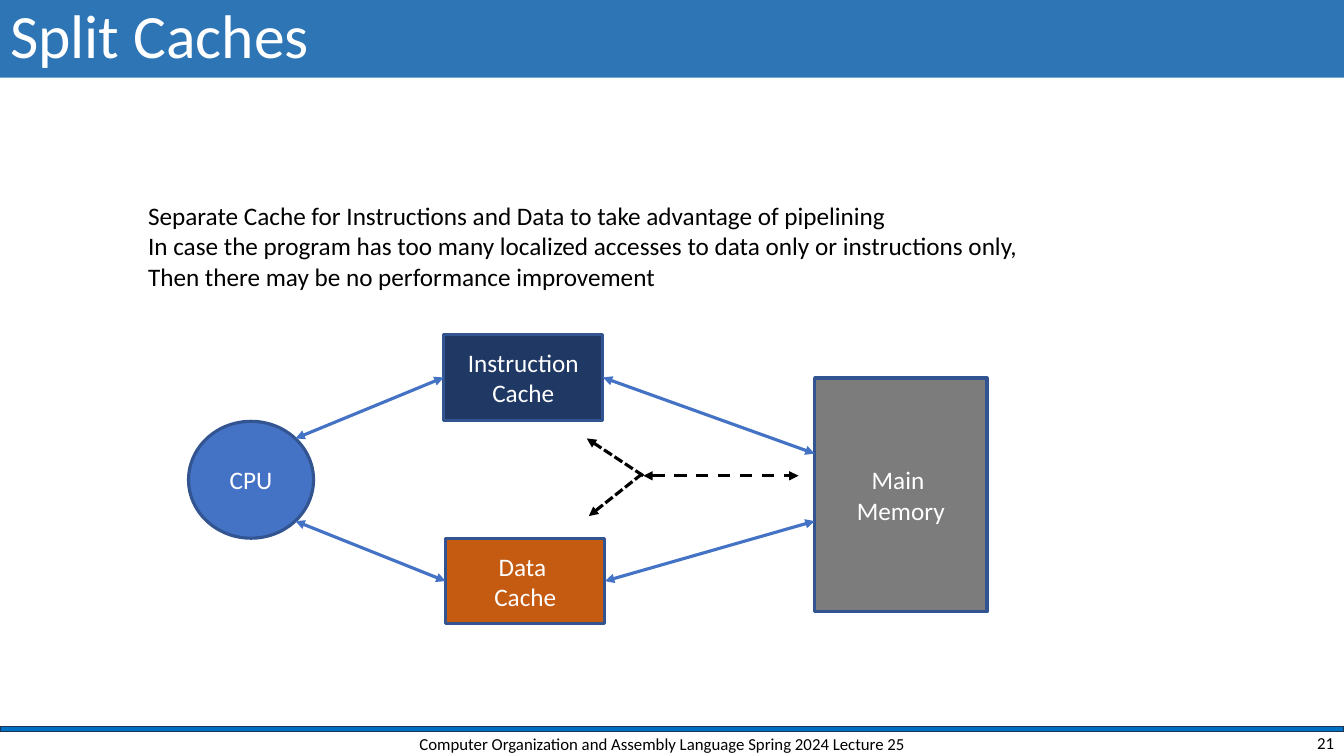
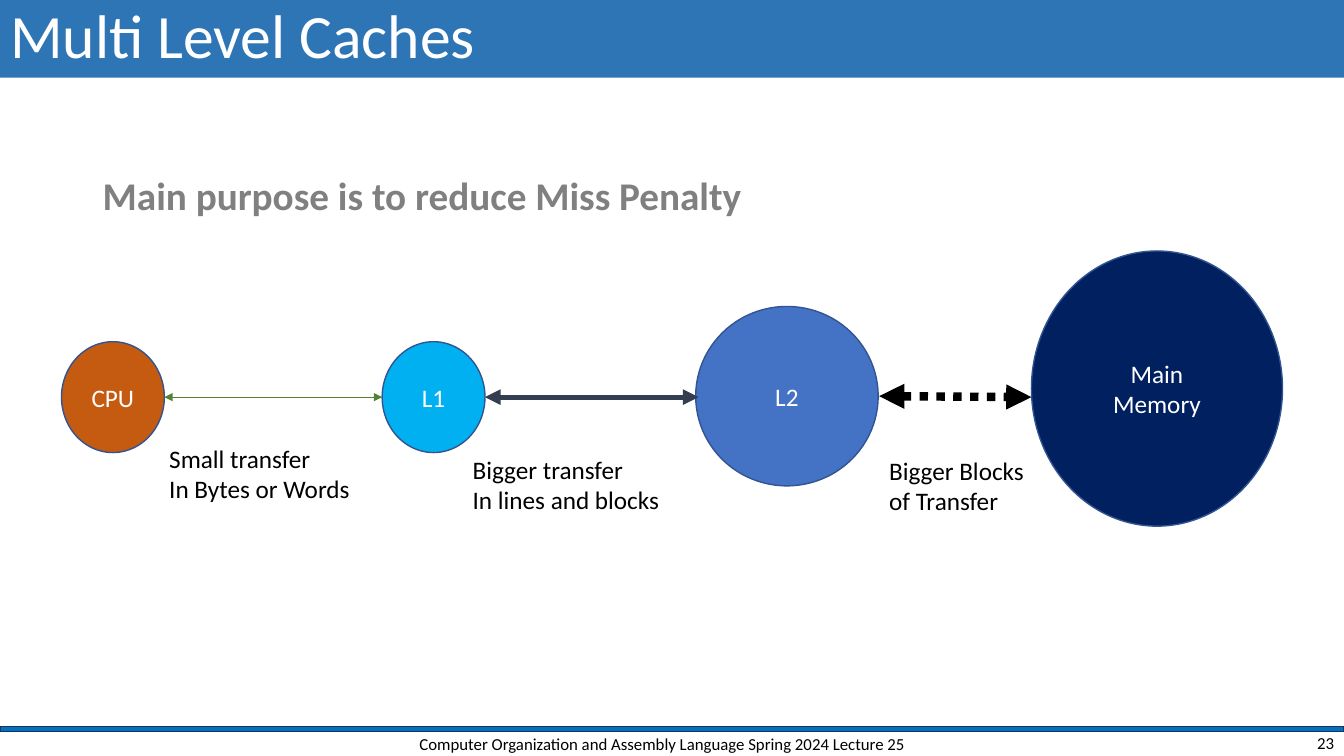
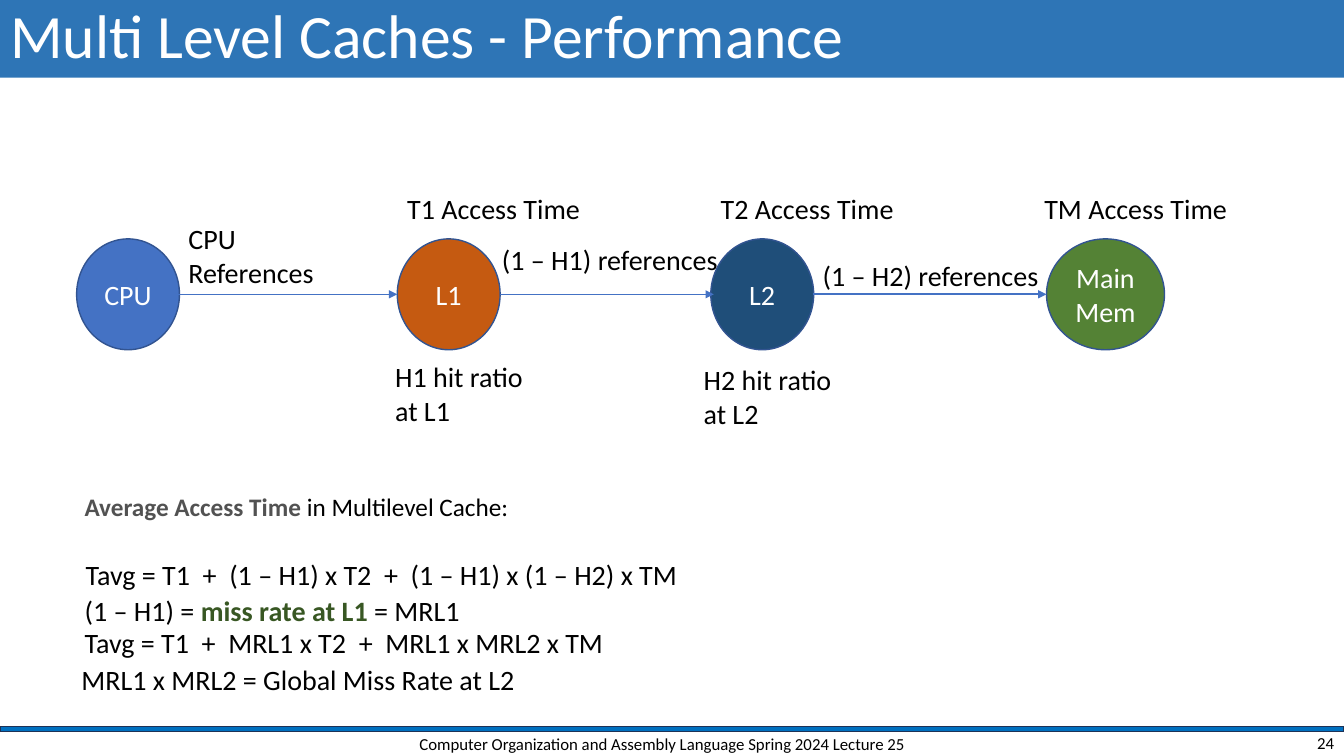
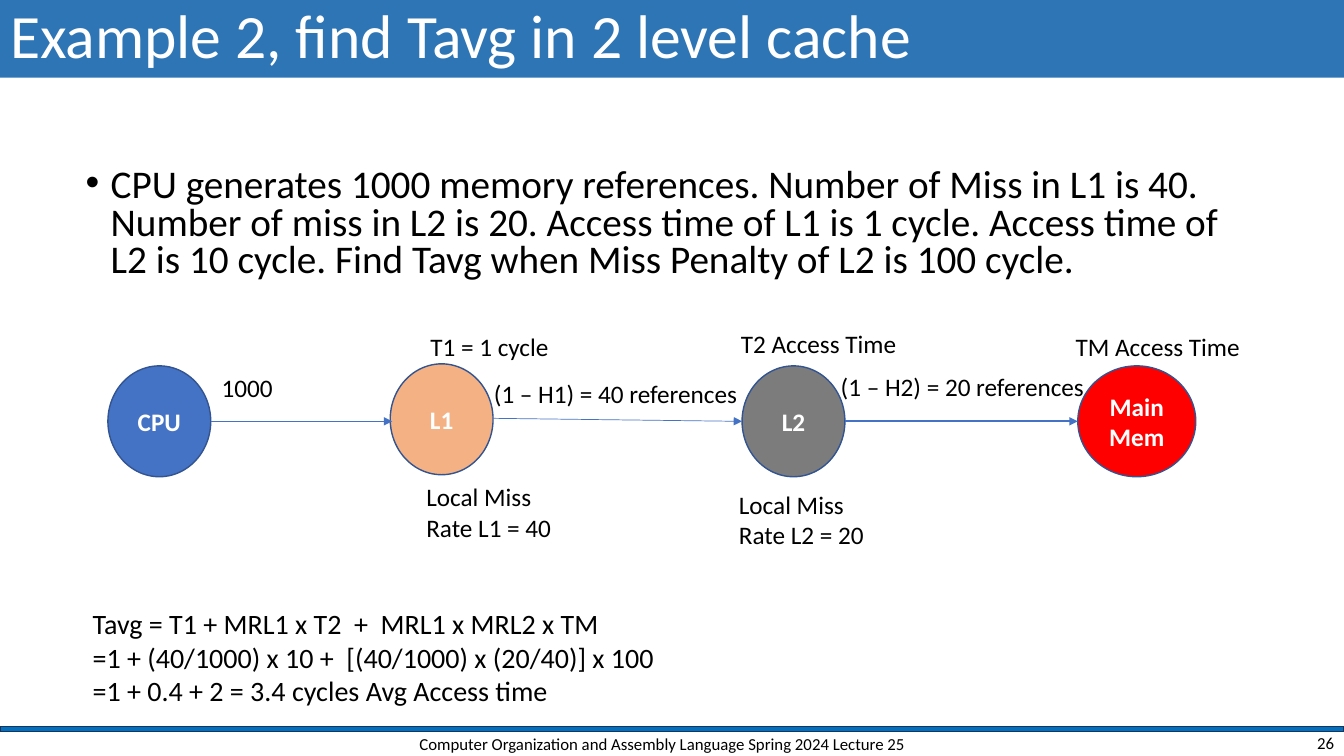
"""Build four lecture slides on split and multi level caches."""
import dataclasses

import lxml.etree
import pptx
import pptx.dml.color
import pptx.enum.dml
import pptx.enum.shapes
import pptx.enum.text
import pptx.oxml.ns
import pptx.util

Inches = pptx.util.Inches
Pt = pptx.util.Pt
SHAPE = pptx.enum.shapes.MSO_SHAPE
DASH = pptx.enum.dml.MSO_LINE
ALIGN = pptx.enum.text.PP_ALIGN
ANCHOR = pptx.enum.text.MSO_ANCHOR
FIT = pptx.enum.text.MSO_AUTO_SIZE


@dataclasses.dataclass(frozen=True)
class Theme:
    """Hold the colours, type sizes and line widths of the deck."""
    font: str = "Calibri"
    band: str = "2E75B6"
    rule: str = "0070C0"
    edge: str = "1E3256"
    rim: str = "325491"
    blue: str = "4472C4"
    orange: str = "C55A11"
    peach: str = "F4B183"
    green: str = "548235"
    leaf: str = "385723"
    sky: str = "00B0F0"
    navy: str = "203864"
    deep: str = "002060"
    steel: str = "1F4E79"
    slate: str = "333F50"
    grey: str = "7C7C7C"
    soft: str = "808080"
    dark: str = "525252"
    red: str = "FF0000"
    black: str = "000000"
    white: str = "FFFFFF"
    title: int = 44
    lead: int = 28
    large: int = 20
    body: int = 18
    small: int = 12
    hair: float = 0.5
    thin: float = 1
    mid: float = 1.5
    bold: float = 2.25
    wide: float = 3.75
    broad: float = 6


T = Theme()
WIDTH, HEIGHT = 13.33, 7.5
ROUND = (1.02, 1.1)
OVAL = (1.17, 1.1)
FOOTER = "Computer Organization and Assembly Language Spring 2024 Lecture 25"


def rgb(code):
    """Turn a hex code into a colour."""
    return pptx.dml.color.RGBColor.from_string(code)


def place(shape, at):
    """Move and size a shape in inches."""
    shape.left, shape.top, shape.width, shape.height = map(Inches, at)


def write(frame, lines, size, color, bold=False, align=ALIGN.LEFT):
    """Fill a text frame; a line is a string or a list of (text, colour, bold) runs."""
    for index, line in enumerate(lines):
        para = frame.paragraphs[0] if index == 0 else frame.add_paragraph()
        para.alignment = align
        runs = [(line, color, bold)] if isinstance(line, str) else line
        for text, tint, heavy in runs:
            run = para.add_run()
            run.text = text
            run.font.name = T.font
            run.font.size = Pt(size)
            run.font.bold = heavy
            run.font.color.rgb = rgb(tint)


def label(slide, at, lines, size=T.body, color=T.black, bold=False, wrap=False):
    """Add a text box that grows with its text."""
    box = slide.shapes.add_textbox(*map(Inches, at))
    frame = box.text_frame
    frame.word_wrap = wrap
    frame.auto_size = FIT.SHAPE_TO_FIT_TEXT
    write(frame, lines, size, color, bold)


def small(slide, at, text, align):
    """Add a line of footer text."""
    frame = slide.shapes.add_textbox(*map(Inches, at)).text_frame
    frame.word_wrap = True
    frame.vertical_anchor = ANCHOR.MIDDLE
    write(frame, [text], T.small, T.black, align=align)


def bullet(slide, at, text):
    """Add one bullet point in large type."""
    frame = slide.shapes.add_textbox(*map(Inches, at)).text_frame
    frame.word_wrap = True
    para = frame.paragraphs[0]
    props = para._p.get_or_add_pPr()
    props.set("marL", str(Inches(0.25)))
    props.set("indent", str(-Inches(0.25)))
    for tag, key, value in (("a:buFont", "typeface", "Arial"), ("a:buChar", "char", "•")):
        lxml.etree.SubElement(props, pptx.oxml.ns.qn(tag)).set(key, value)
    para.line_spacing = 0.8
    write(frame, [text], T.lead, T.black)


def block(slide, kind, at, fill, line=T.rim, width=T.thin):
    """Add a filled and outlined shape."""
    shape = slide.shapes.add_shape(kind, *map(Inches, at))
    shape.shadow.inherit = False
    shape.fill.solid()
    shape.fill.fore_color.rgb = rgb(fill)
    shape.line.color.rgb = rgb(line)
    shape.line.width = Pt(width)
    return shape


def node(slide, at, lines, fill, kind=SHAPE.OVAL, width=T.thin, size=T.body, bold=False):
    """Add a shape with white centred text."""
    shape = block(slide, kind, at, fill, width=width)
    shape.text_frame.word_wrap = True
    shape.text_frame.vertical_anchor = ANCHOR.MIDDLE
    write(shape.text_frame, lines, size, T.white, bold, ALIGN.CENTER)
    return shape


def link(slide, start, end, color=T.blue, width=T.bold, dash=None, both=True):
    """Add an arrow with a head at one end or at both."""
    line = slide.shapes.add_connector(
        pptx.enum.shapes.MSO_CONNECTOR.STRAIGHT, *map(Inches, start + end))
    line.line.color.rgb = rgb(color)
    line.line.width = Pt(width)
    if dash is not None:
        line.line.dash_style = dash
    stroke = line.line._get_or_add_ln()
    for tag in ("a:headEnd", "a:tailEnd") if both else ("a:tailEnd",):
        lxml.etree.SubElement(stroke, pptx.oxml.ns.qn(tag)).set("type", "triangle")
    lxml.etree.SubElement(line._element.spPr, pptx.oxml.ns.qn("a:effectLst"))
    return line


def start(deck, title, number):
    """Add a slide with its title band, rule and footer."""
    slide = deck.slides.add_slide(deck.slide_layouts[5])
    block(slide, SHAPE.RECTANGLE, (0, 7.21, WIDTH, 0.05), T.rule, T.edge)
    head = slide.shapes.title
    place(head, (0, 0, WIDTH, 0.77))
    head.fill.solid()
    head.fill.fore_color.rgb = rgb(T.band)
    frame = head.text_frame
    frame.auto_size = FIT.NONE
    frame.vertical_anchor = ANCHOR.MIDDLE
    frame.paragraphs[0].line_spacing = 0.9
    write(frame, [title], T.title, T.white)
    small(slide, (3.92, 7.24, 5.3, 0.28), FOOTER, ALIGN.CENTER)
    small(slide, (10.33, 7.24, 3, 0.25), str(number), ALIGN.RIGHT)
    return slide


def chain(slide, nodes, links, size, bold=False):
    """Draw a row of ovals and the one-way arrows between them."""
    for at, lines, fill in nodes:
        node(slide, at, lines, fill, size=size, bold=bold)
    for begin, end, width in links:
        link(slide, begin, end, width=width, both=False)


def split(deck):
    """Draw the split caches slide."""
    slide = start(deck, "Split Caches", 21)
    node(slide, (1.87, 4.18, 1.24, 1.16), ["CPU"], T.blue, width=T.bold)
    code, data, _ = [
        node(slide, at, lines, fill, SHAPE.RECTANGLE, T.bold) for at, lines, fill in (
            ((4.4, 3.32, 1.58, 0.85), ["Instruction Cache"], T.navy),
            ((4.42, 5.34, 1.58, 0.85), ["Data ", "Cache"], T.orange),
            ((8.08, 3.75, 1.71, 2.32), ["Main ", "Memory"], T.grey))]
    for cache, level, near, far in ((code, 3.75, 4.35, 4.5), (data, 5.77, 5.17, 5.17)):
        link(slide, (2.93, near), (4.4, level)).end_connect(cache, 1)
        link(slide, (6, level), (8.08, far)).begin_connect(cache, 3)
    link(slide, (6.38, 4.72), (7.92, 4.72), T.black, dash=DASH.DASH)
    for begin, end in (((6.38, 4.72), (5.82, 4.35)), ((6.37, 4.7), (5.84, 5.12))):
        link(slide, begin, end, T.black, dash=DASH.SQUARE_DOT, both=False)
    label(slide, (1.37, 1.94, 8.93, 1.01), [
        "Separate Cache for Instructions and Data to take advantage of pipelining",
        "In case the program has too many localized accesses to data only or instructions only,",
        "Then there may be no performance improvement"])


def levels(deck):
    """Draw the multi level caches slide."""
    slide = start(deck, "Multi Level Caches", 23)
    label(slide, (0.92, 1.65, 6.61, 0.57), ["Main purpose is to reduce Miss Penalty"],
          T.lead, T.soft, True)
    for at, lines, fill in (
            ((0.61, 3.39, *ROUND), ["CPU"], T.orange),
            ((3.79, 3.39, *ROUND), ["L1"], T.sky),
            ((6.9, 3.04, 1.81, 1.78), ["L2"], T.blue),
            ((10.23, 2.49, 2.49, 2.73), ["Main", "Memory"], T.deep)):
        node(slide, at, lines, fill)
    link(slide, (1.63, 3.94), (3.79, 3.94), T.green, T.hair)
    link(slide, (4.81, 3.94), (6.93, 3.94), T.slate, T.wide)
    link(slide, (8.72, 3.93), (10.23, 3.94), T.black, T.broad, DASH.ROUND_DOT)
    for at, lines in (
            ((1.58, 4.35, 2.01, 0.71), ["Small transfer", "In Bytes or Words"]),
            ((4.59, 4.46, 2.07, 0.71), ["Bigger transfer", "In lines and blocks"]),
            ((8.72, 4.47, 1.55, 0.71), ["Bigger Blocks", "of Transfer"])):
        label(slide, at, lines)


def timing(deck):
    """Draw the cache performance slide."""
    slide = start(deck, "Multi Level Caches - Performance", 24)
    chain(slide, (
        ((0.76, 2.37, *ROUND), ["CPU"], T.blue),
        ((3.94, 2.37, *ROUND), ["L1"], T.orange),
        ((7.05, 2.37, *ROUND), ["L2"], T.steel),
        ((10.38, 2.37, *OVAL), ["Main", "Mem"], T.green),
    ), (
        ((1.77, 2.92), (3.94, 2.92), T.hair),
        ((4.96, 2.92), (7.08, 2.92), T.hair),
        ((8.06, 2.92), (10.38, 2.92), T.mid),
    ), T.large)
    for at, lines in (
            ((1.77, 2.15, 1.48, 0.77), ["CPU", "References"]),
            ((3.94, 1.85, 1.96, 0.44), ["T1 Access Time"]),
            ((7.05, 1.85, 1.96, 0.44), ["T2 Access Time"]),
            ((10.26, 1.85, 2.06, 0.44), ["TM Access Time"]),
            ((3.82, 3.52, 1.51, 0.77), ["H1 hit ratio", "at L1"]),
            ((6.88, 3.55, 1.51, 0.77), ["H2 hit ratio", "at L2"]),
            ((4.88, 2.36, 2.39, 0.44), ["(1 – H1) references"]),
            ((8.06, 2.52, 2.39, 0.44), ["(1 – H2) references"]),
            ((0.75, 5.48, 6.12, 0.44),
             ["Tavg = T1  +  (1 – H1) x T2  +  (1 – H1) x (1 – H2) x TM"]),
            ((0.74, 5.84, 3.95, 0.44), [[("(1 – H1) = ", T.black, False),
                                         ("miss rate at L1 ", T.leaf, True),
                                         ("= MRL1", T.black, False)]]),
            ((0.74, 6.16, 5.39, 0.44), ["Tavg = T1  +  MRL1 x T2  +  MRL1 x MRL2 x TM"]),
            ((0.71, 6.52, 4.54, 0.44), ["MRL1 x MRL2 = Global Miss Rate at L2"])):
        label(slide, at, lines, T.large)
    label(slide, (0.74, 4.83, 4.42, 0.4), [[("Average Access Time ", T.dark, True),
                                            ("in Multilevel Cache:", T.black, False)]])


def sample(deck):
    """Draw the worked example slide."""
    slide = start(deck, "Example 2, find Tavg in 2 level cache", 26)
    bullet(slide, (0.75, 1.62, 11.5, 1.33),
           "CPU generates 1000 memory references. Number of Miss in L1 is 40. "
           "Number of miss in L2 is 20. Access time of L1 is 1 cycle. "
           "Access time of L2 is 10 cycle. Find Tavg when Miss Penalty of L2 is 100 cycle.")
    label(slide, (0.82, 5.97, 6.67, 1.11), [
        "Tavg = T1 + MRL1 x T2  +  MRL1 x MRL2 x TM",
        "=1 + (40/1000) x 10 +  [(40/1000) x (20/40)] x 100",
        "=1 + 0.4 + 2 = 3.4 cycles Avg Access time"], T.large, wrap=True)
    chain(slide, (
        ((1.07, 3.63, *ROUND), ["CPU"], T.blue),
        ((3.87, 3.61, *ROUND), ["L1"], T.peach),
        ((7.36, 3.63, *ROUND), ["L2"], T.grey),
        ((10.69, 3.63, *OVAL), ["Main", "Mem"], T.red),
    ), (
        ((2.09, 4.18), (3.89, 4.18), T.hair),
        ((4.89, 4.15), (7.36, 4.18), T.hair),
        ((8.38, 4.18), (10.69, 4.18), T.mid),
    ), T.body, True)
    for at, lines in (
            ((2.1, 3.64, 0.71, 0.4), ["1000"]),
            ((4.17, 3.24, 1.39, 0.4), ["T1 = 1 cycle"]),
            ((7.25, 3.21, 1.76, 0.4), ["T2 Access Time"]),
            ((10.57, 3.24, 1.85, 0.4), ["TM Access Time"]),
            ((4.13, 4.73, 1.46, 0.71), ["Local Miss", "Rate L1 = 40"]),
            ((7.23, 4.8, 1.51, 0.71), ["Local Miss", "Rate L2 = 20"]),
            ((4.8, 3.7, 2.65, 0.4), ["(1 – H1) = 40 references"]),
            ((8.24, 3.63, 2.71, 0.4), ["(1 – H2) = 20 references"])):
        label(slide, at, lines)


def main():
    """Build the deck and save it."""
    deck = pptx.Presentation()
    deck.slide_width, deck.slide_height = Inches(WIDTH), Inches(HEIGHT)
    for draw in (split, levels, timing, sample):
        draw(deck)
    deck.save("out.pptx")


if __name__ == "__main__":
    main()
